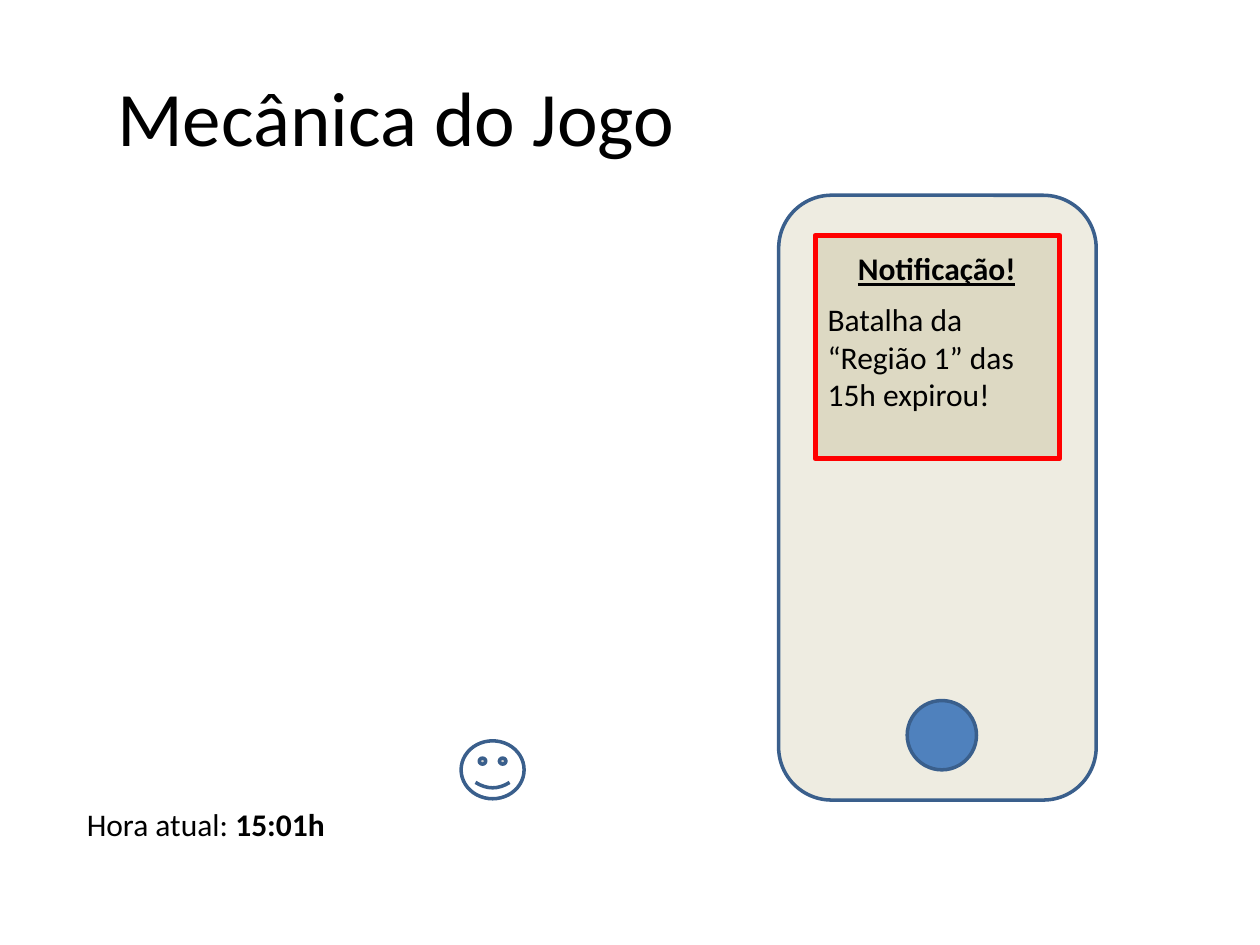
"""Builds the game mechanics slide with a phone notification."""
from pptx import Presentation
from pptx.dml.color import RGBColor
from pptx.enum.shapes import MSO_SHAPE
from pptx.enum.text import MSO_ANCHOR, MSO_AUTO_SIZE, PP_ALIGN
from pptx.util import Inches, Pt


def color(value):
    return RGBColor.from_string(value)


def add_run(p, text, size=18, bold=None, underline=None):
    r = p.add_run()
    r.text = text
    r.font.name = "Calibri"
    r.font.size = Pt(size)
    r.font.bold = bold
    r.font.underline = underline
    r.font.color.rgb = color("000000")


prs = Presentation()
prs.slide_width, prs.slide_height = Inches(10), Inches(7.5)
slide = prs.slides.add_slide(prs.slide_layouts[5])

title = slide.shapes.title
title.left, title.top = Inches(0.83), Inches(0.29)
title.width, title.height = Inches(8.83), Inches(1.25)
title.text_frame.vertical_anchor = MSO_ANCHOR.MIDDLE
p = title.text_frame.paragraphs[0]
p.alignment = PP_ALIGN.LEFT
add_run(p, "Mecânica do Jogo", size=44)

texts = [
    (0.59, 6.34, 2.11, 0.4, False, [("Hora atual: ", {}), ("15:01h", {"bold": True})]),
    (6.47, 2.33, 1.94, 1.01, True, [("Batalha da “Região 1” das 15h expirou!", {})]),
    (6.71, 1.93, 1.47, 0.4, False, [("Notificação!", {"bold": True, "underline": True})]),
]
shapes = [
    (MSO_SHAPE.SMILEY_FACE, 3.66, 5.88, 0.5, 0.46, "FFFFFF", "3A5F8C", 2),
    (MSO_SHAPE.ROUNDED_RECTANGLE, 6.18, 1.55, 2.52, 4.8, "EEECE1", "3A5F8C", 2),
    (MSO_SHAPE.RECTANGLE, 6.47, 1.87, 1.94, 1.77, "DDD9C3", "FF0000", 3),
    (MSO_SHAPE.OVAL, 7.2, 5.56, 0.55, 0.55, "4F81BD", "3A5F8C", 2),
]

for kind, x, y, w, h, fill, line, weight in shapes:
    sp = slide.shapes.add_shape(kind, Inches(x), Inches(y), Inches(w), Inches(h))
    sp.shadow.inherit = False
    sp.fill.solid()
    sp.fill.fore_color.rgb = color(fill)
    sp.line.color.rgb = color(line)
    sp.line.width = Pt(weight)

for x, y, w, h, wrap, runs in texts:
    sp = slide.shapes.add_textbox(Inches(x), Inches(y), Inches(w), Inches(h))
    tf = sp.text_frame
    tf.word_wrap = wrap
    tf.auto_size = MSO_AUTO_SIZE.SHAPE_TO_FIT_TEXT
    for text, style in runs:
        add_run(tf.paragraphs[0], text, **style)

prs.save("out.pptx")
